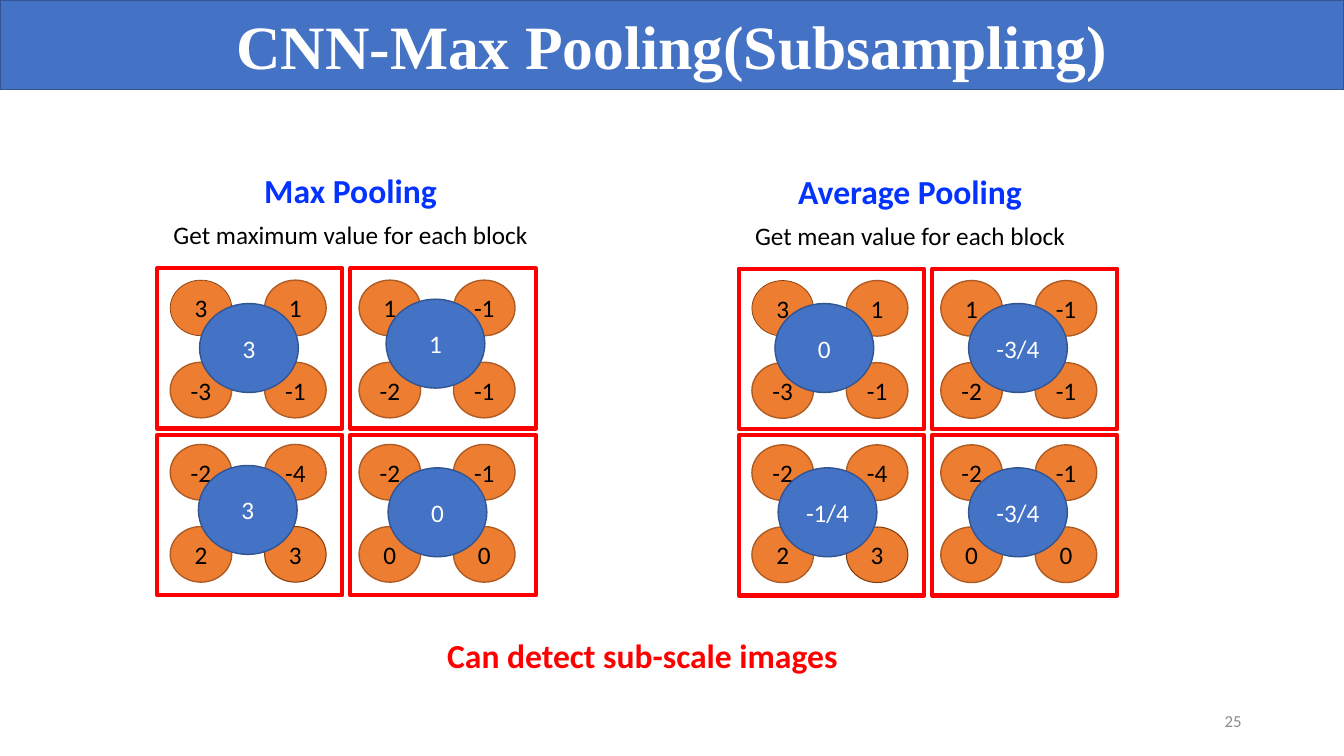
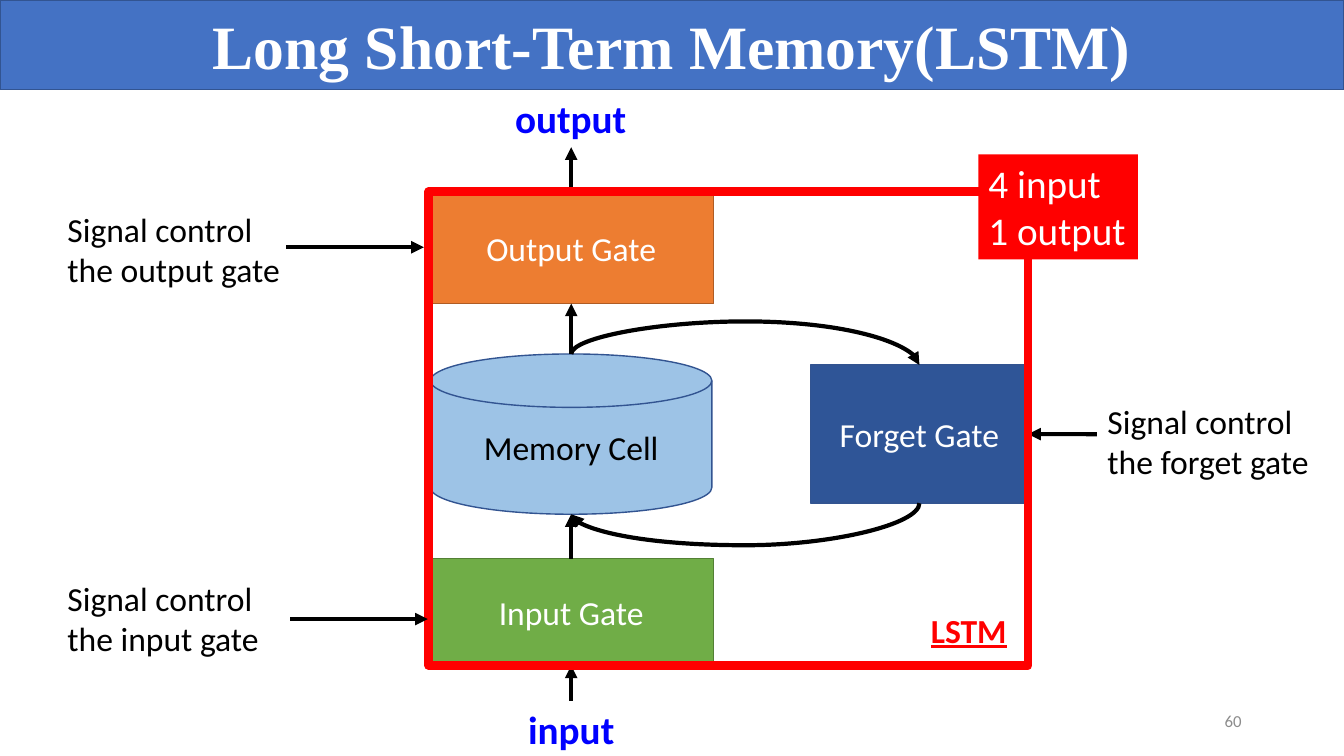
import pptx
import pptx.util
import pptx.dml.color
import pptx.enum.shapes
import pptx.enum.text
import pptx.oxml.ns
import lxml.etree

Cm, Pt = pptx.util.Cm, pptx.util.Pt
RGBColor = pptx.dml.color.RGBColor
SHAPE = pptx.enum.shapes.MSO_SHAPE
LINK = pptx.enum.shapes.MSO_CONNECTOR
ALIGN = pptx.enum.text.PP_ALIGN
ANCHOR = pptx.enum.text.MSO_ANCHOR
AUTO = pptx.enum.text.MSO_AUTO_SIZE
qn = pptx.oxml.ns.qn

BLUE = RGBColor(0x44, 0x72, 0xC4)
BLUE_EDGE = RGBColor(0x32, 0x54, 0x91)
NAVY = RGBColor(0x2F, 0x55, 0x97)
SKY = RGBColor(0x9D, 0xC3, 0xE6)
ORANGE = RGBColor(0xED, 0x7D, 0x31)
ORANGE_EDGE = RGBColor(0xAF, 0x5C, 0x24)
BROWN = RGBColor(0x84, 0x3C, 0x0B)
GREEN = RGBColor(0x70, 0xAD, 0x47)
GREEN_EDGE = RGBColor(0x53, 0x80, 0x35)
RED = RGBColor(0xFF, 0x00, 0x00)
HEADING = RGBColor(0x04, 0x32, 0xFF)
SIGNAL = RGBColor(0x00, 0x00, 0xFF)
GRAY = RGBColor(0x8C, 0x8C, 0x8C)
BLACK = RGBColor(0x00, 0x00, 0x00)
WHITE = RGBColor(0xFF, 0xFF, 0xFF)

SLIDE_W, SLIDE_H = 33.87, 19.05
BAND_H = 2.25

INPUT_VALUES = [["3", "1", "1", "-1"], ["-3", "-1", "-2", "-1"],
                ["-2", "-4", "-2", "-1"], ["2", "3", "0", "0"]]
MARKED_CELLS = {(0, 0): 0.5, (3, 1): 0.75}


def write(tf, text, size, color, align=ALIGN.LEFT, font="Calibri", bold=False, underline=False):
    """Write one paragraph per line of text."""
    for i, line in enumerate(text.split("\n")):
        p = tf.paragraphs[0] if i == 0 else tf.add_paragraph()
        p.alignment = align
        r = p.add_run()
        r.text = line
        r.font.name, r.font.size, r.font.color.rgb = font, Pt(size), color
        r.font.bold, r.font.underline = bold, underline


def add_text(s, x, y, w, h, text, size, color, wrap=False, **style):
    """Add a text box."""
    sp = s.shapes.add_textbox(Cm(x), Cm(y), Cm(w), Cm(h))
    sp.text_frame.word_wrap = wrap
    write(sp.text_frame, text, size, color, **style)
    return sp


def add_box(s, kind, x, y, w, h, fill, edge, width=1.0, text="", size=24, color=WHITE):
    """Add a preset shape with centred text; no fill when fill is None."""
    sp = s.shapes.add_shape(kind, Cm(x), Cm(y), Cm(w), Cm(h))
    sp.shadow.inherit = False
    if fill is None:
        sp.fill.background()
    else:
        sp.fill.solid()
        sp.fill.fore_color.rgb = fill
    sp.line.color.rgb, sp.line.width = edge, Pt(width)
    if text:
        sp.text_frame.vertical_anchor = ANCHOR.MIDDLE
        write(sp.text_frame, text, size, color, ALIGN.CENTER)
    return sp


def add_arrow(s, x1, y1, x2, y2, kind=LINK.STRAIGHT):
    """Add a black connector with an arrowhead at its end."""
    c = s.shapes.add_connector(kind, Cm(x1), Cm(y1), Cm(x2), Cm(y2))
    c.line.color.rgb, c.line.width = BLACK, Pt(3)
    spPr = c.element.spPr
    lxml.etree.SubElement(spPr.find(qn("a:ln")), qn("a:tailEnd"), type="triangle")
    lxml.etree.SubElement(spPr, qn("a:effectLst"))
    return c


def add_loop(s, x1, y1, x2, y2, bulge_y):
    """Add a curved arrow that leaves and arrives vertically by way of bulge_y."""
    cx, cy = (x1 + x2) / 2, (y1 + y2) / 2
    half_h = abs(x2 - x1) / 2
    rightward = x2 > x1
    half_w = (y1 - y2 if not rightward else y2 - y1) / 2
    half_w = abs(half_w) * (-1 if rightward else 1)
    c = add_arrow(s, cx - half_w, cy - half_h, cx + half_w, cy + half_h, LINK.CURVE)
    spPr = c.element.spPr
    spPr.find(qn("a:xfrm")).set("rot", str((270 if rightward else 90) * 60000))
    geom = spPr.find(qn("a:prstGeom"))
    guides = geom.find(qn("a:avLst"))
    if guides is None:
        guides = lxml.etree.SubElement(geom, qn("a:avLst"))
    bend = round((bulge_y - y1) / (y2 - y1) * 100000)
    lxml.etree.SubElement(guides, qn("a:gd"), name="adj1", fmla=f"val {bend}")


def add_slide(prs, title, number):
    """Add a slide with the title band and the page number."""
    s = prs.slides.add_slide(prs.slide_layouts[5])
    sp = s.shapes.title
    sp.left, sp.top, sp.width, sp.height = Cm(0), Cm(0), Cm(SLIDE_W), Cm(BAND_H)
    sp.fill.solid()
    sp.fill.fore_color.rgb = BLUE
    sp.line.color.rgb, sp.line.width = BLUE_EDGE, Pt(1)
    tf = sp.text_frame
    tf.auto_size, tf.vertical_anchor = AUTO.NONE, ANCHOR.MIDDLE
    write(tf, title, 44, WHITE, ALIGN.CENTER, "Times New Roman", True)
    page = add_text(s, 23.92, 17.66, 7.62, 1.01, str(number), 12, GRAY, True, align=ALIGN.RIGHT)
    page.text_frame.vertical_anchor = ANCHOR.MIDDLE
    return s


def pooling_panel(s, x, y, heading, caption, caption_w, results):
    """Draw a 4 x 4 grid in four blocks, each block with its pooled value."""
    add_text(s, x + 0.1, y - 2.6, caption_w, 1.28, heading, 24, HEADING,
             align=ALIGN.CENTER, bold=True)
    add_text(s, x + 0.1, y - 1.35, caption_w, 1.03, caption, 18, BLACK, align=ALIGN.CENTER)
    for row, values in enumerate(INPUT_VALUES):
        for col, value in enumerate(values):
            marked = (row, col) in MARKED_CELLS
            add_box(s, SHAPE.OVAL, x + 0.33 + 2.38 * col, y + 0.3 + 2.07 * row, 1.55, 1.4,
                    ORANGE, BROWN if marked else ORANGE_EDGE,
                    MARKED_CELLS.get((row, col), 1), value, 18, BLACK)
    for i in range(4):
        add_box(s, SHAPE.RECTANGLE, x + 4.87 * (i % 2), y + 4.2 * (i // 2), 4.67, 4.04,
                None, RED, 3)
    for value, dx, dy in results:
        add_box(s, SHAPE.OVAL, x + dx, y + dy, 2.49, 2.24, BLUE, BLUE_EDGE, 1, value, 18)


def pooling_slide(prs):
    """Build the slide that compares max and average pooling."""
    s = add_slide(prs, "CNN-Max Pooling(Subsampling)", 25)
    pooling_panel(s, 3.96, 6.76, "Max Pooling", "Get maximum value for each block", 9.55,
                  [("3", 1.07, 0.89), ("1", 5.77, 0.78), ("3", 1.04, 4.97), ("0", 5.82, 5.03)])
    pooling_panel(s, 18.62, 6.77, "Average Pooling", "Get mean value for each block", 8.43,
                  [("0", 0.91, 0.88), ("-3/4", 5.79, 0.88),
                   ("-1/4", 0.99, 5.02), ("-3/4", 5.79, 5.02)])
    add_text(s, 11.02, 15.88, 10.46, 1.28, "Can detect sub-scale images", 24, RED, bold=True)


def lstm_cell(s, x, y, w, h):
    """Draw the memory cell, its gates, the arrows and the outer frame."""
    gate_w = 7.19
    mid = x + gate_w / 2
    disk_top, disk_bottom = y + 4.09, y + 8.13
    add_box(s, SHAPE.FLOWCHART_MAGNETIC_DISK, x + 0.05, disk_top, 7.09, 4.04,
            SKY, BLUE_EDGE, 1, "Memory Cell", 24, BLACK)
    output_gate = add_box(s, SHAPE.RECTANGLE, x, y, gate_w, 2.82,
                          ORANGE, ORANGE_EDGE, 1, "Output Gate")
    input_gate = add_box(s, SHAPE.RECTANGLE, x, y + h - 2.69, gate_w, 2.69,
                         GREEN, GREEN_EDGE, 1, "Input Gate")
    forget_x, forget_y, forget_w, forget_h = x + w - 5.48, y + 4.37, 5.48, 3.48
    forget_gate = add_box(s, SHAPE.RECTANGLE, forget_x, forget_y, forget_w, forget_h,
                          NAVY, BLUE_EDGE, 1, "Forget Gate")

    add_arrow(s, mid, y + h + 0.89, mid, y + h).end_connect(input_gate, 2)
    add_arrow(s, mid, y + h - 2.69, mid, disk_bottom).begin_connect(input_gate, 0)
    add_arrow(s, mid, disk_top, mid, y + 2.82).end_connect(output_gate, 2)
    add_arrow(s, mid, y, mid, y - 1.12).begin_connect(output_gate, 0)
    add_arrow(s, x + w + 1.73, forget_y + forget_h / 2, x + w,
              forget_y + forget_h / 2).end_connect(forget_gate, 3)
    add_arrow(s, x - 3.58, y + 1.4, x - 0.12, y + 1.4)

    forget_mid = forget_x + forget_w / 2
    add_loop(s, mid, disk_top, forget_mid, forget_y, disk_top - 0.82)
    add_loop(s, forget_mid, forget_y + forget_h, mid, disk_bottom, disk_bottom + 0.78)
    add_box(s, SHAPE.RECTANGLE, x, y, w, h, None, RED, 6)
    add_arrow(s, x - 3.48, y + 10.77, x - 0.02, y + 10.77)
    add_text(s, x + w - 2.7, y + h - 1.53, 2.44, 1.28, "LSTM", 24, RED,
             bold=True, underline=True)
    tag = add_text(s, x + w - 1.25, y - 0.94, 4.02, 2.65, "4 input\n1 output", 28, WHITE)
    tag.fill.solid()
    tag.fill.fore_color.rgb = RED


def lstm_slide(prs):
    """Build the slide that shows the LSTM cell and its signals."""
    s = add_slide(prs, "Long Short-Term Memory(LSTM)", 60)
    lstm_cell(s, 10.8, 4.83, 15.11, 11.94)
    add_text(s, 12.73, 2.24, 3.35, 1.45, "output", 28, SIGNAL, bold=True)
    add_text(s, 13.06, 17.65, 2.72, 1.45, "input", 28, SIGNAL, bold=True)
    for gate, x, y in [("output", 1.45, 5.13), ("input", 1.45, 14.43), ("forget", 27.66, 9.98)]:
        add_text(s, x, y, 6.05, 2.31, f"Signal control the {gate} gate", 24, BLACK, True)


def main():
    """Build and save the presentation."""
    prs = pptx.Presentation()
    prs.slide_width, prs.slide_height = Cm(SLIDE_W), Cm(SLIDE_H)
    pooling_slide(prs)
    lstm_slide(prs)
    prs.save("out.pptx")


if __name__ == "__main__":
    main()
